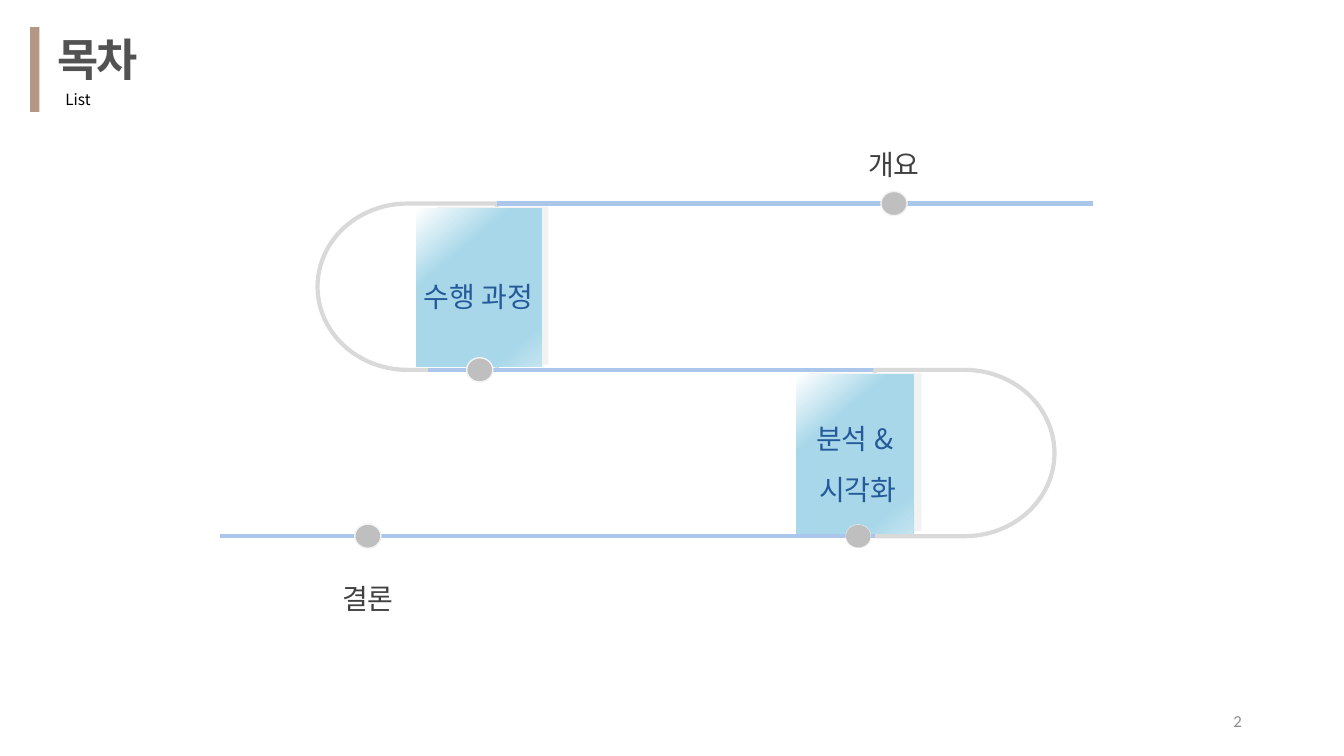
import pptx
import pptx.util
import pptx.dml.color
import pptx.enum.shapes
import pptx.enum.text
import pptx.oxml
import pptx.oxml.ns

Pt = pptx.util.Pt
SHAPE = pptx.enum.shapes.MSO_SHAPE
ALIGN = pptx.enum.text.PP_ALIGN
ANCHOR = pptx.enum.text.MSO_ANCHOR

COLORS = {
    "accent": "B49885", "title": "525252", "black": "000000",
    "label": "404040", "card_label": "26599A", "number": "8C8C8C",
    "track": "AAC6EA", "bend": "D9D9D9", "shade": "F2F2F2",
    "dot": "BFBFBF", "white": "FFFFFF", "card": "A7D7E9", "card_end": "C4E4F0",
}
CARD_STOPS = [(0, "white"), (31, "card"), (83, "card"), (100, "card_end")]
CARD_ANGLE = 50


class Deck:
    """Holds the style and the slide being drawn; lengths are points."""

    font = "Noto Sans CJK KR"

    def __init__(self, width, height):
        self.prs = pptx.Presentation()
        self.prs.slide_width, self.prs.slide_height = Pt(width), Pt(height)
        self.s = self.prs.slides.add_slide(self.prs.slide_layouts[5])

    def rgb(self, name):
        return pptx.dml.color.RGBColor.from_string(COLORS[name])

    def fill_text(self, sp, text, size, color, align=ALIGN.LEFT, wrap=True,
                  spacing=1.0, bold=False, font=None, anchor=ANCHOR.TOP):
        tf = sp.text_frame
        tf.text = text
        tf.word_wrap = wrap
        tf.auto_size = pptx.enum.text.MSO_AUTO_SIZE.NONE
        tf.vertical_anchor = anchor
        for p in tf.paragraphs:
            p.alignment, p.line_spacing = align, spacing
            for r in p.runs:
                r.font.size, r.font.bold = Pt(size), bold
                r.font.color.rgb = self.rgb(color)
                r.font.name = font or self.font
                ea = pptx.oxml.parse_xml(
                    f'<a:ea {pptx.oxml.ns.nsdecls("a")} typeface="{r.font.name}"/>')
                r.font._element.append(ea)

    def title(self, text, x, y, w, h):
        sp = self.s.shapes.title
        sp.left, sp.top, sp.width, sp.height = map(Pt, (x, y, w, h))
        self.fill_text(sp, text, 32, "title", wrap=False, bold=True)
        for r in sp.text_frame.paragraphs[0].runs:
            r.font._element.set("spc", "-150")

    def text(self, text, x, y, w, h, size, color, **style):
        sp = self.s.shapes.add_textbox(Pt(x), Pt(y), Pt(w), Pt(h))
        self.fill_text(sp, text, size, color, **style)

    def shape(self, kind, x, y, w, h, fill=None, line=None, weight=1):
        sp = self.s.shapes.add_shape(kind, Pt(x), Pt(y), Pt(w), Pt(h))
        sp.shadow.inherit = False
        if fill:
            sp.fill.solid()
            sp.fill.fore_color.rgb = self.rgb(fill)
        else:
            sp.fill.background()
        if line:
            sp.line.color.rgb = self.rgb(line)
            sp.line.width = Pt(weight)
        else:
            sp.line.fill.background()
        return sp

    def card(self, x, y, w, h):
        sp = self.shape(SHAPE.RECTANGLE, x, y, w, h)
        sp.fill.gradient()
        grad = sp._element.spPr.find(pptx.oxml.ns.qn("a:gradFill"))
        stops = "".join(
            f'<a:gs pos="{pos * 1000}"><a:srgbClr val="{COLORS[name]}"/></a:gs>'
            for pos, name in CARD_STOPS)
        new = pptx.oxml.parse_xml(
            f'<a:gradFill {pptx.oxml.ns.nsdecls("a")} rotWithShape="1">'
            f'<a:gsLst>{stops}</a:gsLst>'
            f'<a:lin ang="{CARD_ANGLE * 60000}" scaled="0"/></a:gradFill>')
        grad.getparent().replace(grad, new)

    def bend(self, x, y, rotation=0):
        sp = self.shape(SHAPE.FLOWCHART_DELAY, x, y, BEND_WIDTH, ROW_GAP,
                        line="bend", weight=3)
        sp.rotation = rotation

    def track(self, x1, x2, y):
        c = self.s.shapes.add_connector(
            pptx.enum.shapes.MSO_CONNECTOR.STRAIGHT, Pt(x1), Pt(y), Pt(x2), Pt(y))
        c.line.color.rgb = self.rgb("track")
        c.line.width = Pt(3)
        c._element.spPr.append(pptx.oxml.parse_xml(
            f'<a:effectLst {pptx.oxml.ns.nsdecls("a")}/>'))

    def dot(self, cx, cy, w=18.7, h=17.3, weight=1):
        self.shape(SHAPE.OVAL, cx - w / 2, cy - h / 2, w, h,
                   fill="dot", line="shade", weight=weight)


ROW_GAP = 118.8
TOP, MIDDLE, BOTTOM = (145.4 + ROW_GAP * i for i in range(3))
BEND_WIDTH = 128.2
LEFT_JOIN, RIGHT_JOIN = 355, 625
CARD_HEIGHT = 113
LABEL_WIDTH = 172.8


def main():
    deck = Deck(960, 540)
    deck.title("목차", 33.8, 19.4, 72, 46)
    deck.shape(SHAPE.RECTANGLE, 21.6, 19.4, 6.5, 60.5, fill="accent")
    deck.text("List", 39.6, 60.5, 33.8, 20.9, 11, "black", wrap=False)

    deck.bend(LEFT_JOIN - BEND_WIDTH, TOP, rotation=180)
    deck.track(306, RIGHT_JOIN, MIDDLE)
    deck.track(LEFT_JOIN, 780.5, TOP)
    deck.bend(RIGHT_JOIN, MIDDLE)
    deck.track(157, RIGHT_JOIN, BOTTOM)

    for shade_x, card_x, card_w, row in [(311.8, 297.4, 89.3, TOP),
                                         (578.2, 568.8, 83.5, MIDDLE)]:
        deck.shape(SHAPE.RECTANGLE, shade_x, row + 2.2, 79.9, CARD_HEIGHT,
                   fill="shade")
        deck.card(card_x, row + 3.6, card_w, CARD_HEIGHT)

    for text, x, y, h, color in [("개요", 552.2, 90, 43.9, "label"),
                                 ("수행 과정", 255.6, 184.3, 38.2, "card_label"),
                                 ("분석 & \n시각화", 526.3, 285.8, 79.9, "card_label"),
                                 ("결론", 176.4, 399.6, 43.9, "label")]:
        deck.text(text, x, y, LABEL_WIDTH, h, 20, color,
                  align=ALIGN.CENTER, spacing=1.5)

    for cx, row in [(638.6, TOP), (342.7, MIDDLE), (262.8, BOTTOM)]:
        deck.dot(cx, row)
    deck.dot(613.1, BOTTOM, w=18, h=16.6, weight=0.25)

    deck.text("2", 678.2, 500.4, 216, 28.8, 12, "number", align=ALIGN.RIGHT,
              font="Calibri", anchor=ANCHOR.MIDDLE)
    deck.prs.save("out.pptx")


if __name__ == "__main__":
    main()
